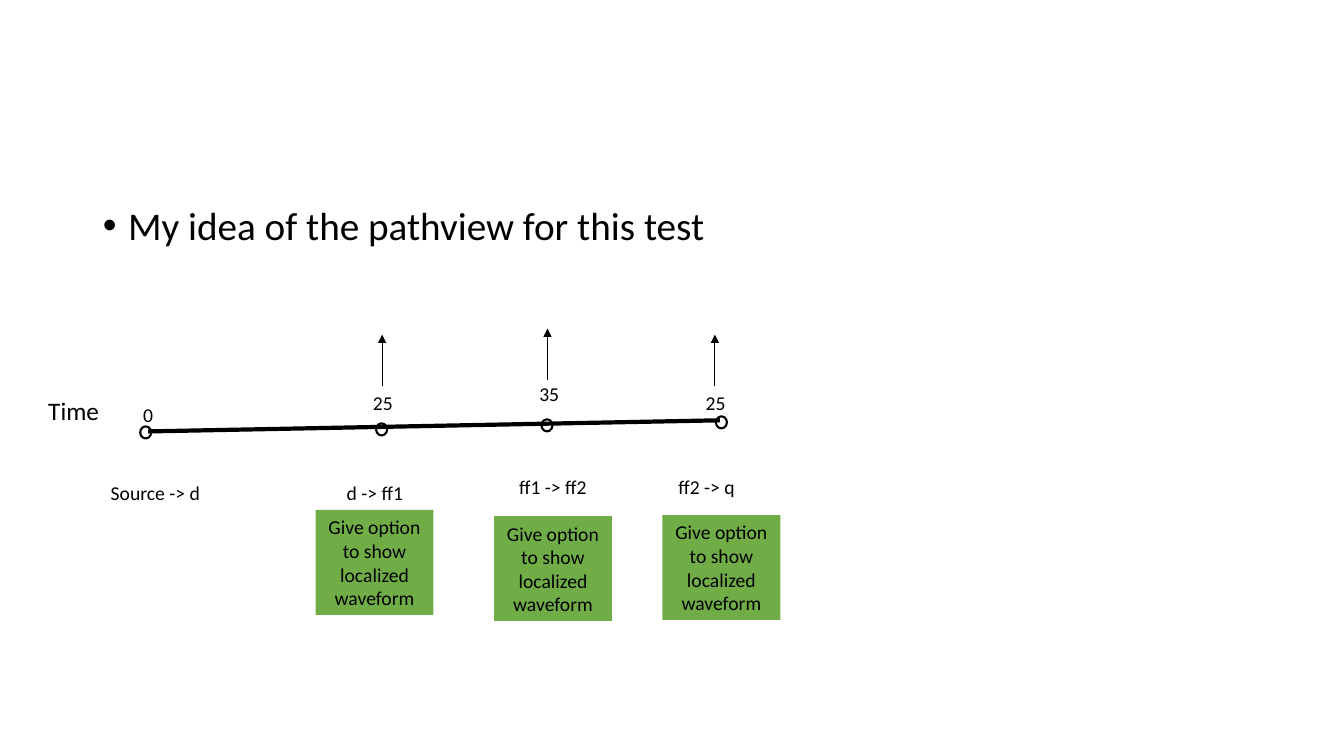
"""Build the pathview timeline slide."""
from pptx import Presentation
from pptx import util as u
from pptx.dml import color
from pptx.enum import shapes, text
from pptx.oxml import ns, xmlchemy

INK = {"text": "000000", "line": "000000", "box": "70AD47"}
rgb = color.RGBColor.from_string


def write(shape, words, size=14, align=text.PP_ALIGN.LEFT, wrap=True):
    frame = shape.text_frame
    frame.word_wrap = wrap
    frame.text = words
    para = frame.paragraphs[0]
    para.alignment = align
    font = para.runs[0].font
    font.size = u.Pt(size)
    font.name = "Calibri"
    font.color.rgb = rgb(INK["text"])
    return para


def draw(start, end, width):
    line = slide.shapes.add_connector(
        shapes.MSO_CONNECTOR.STRAIGHT, *map(u.Inches, start + end))
    line.line.color.rgb = rgb(INK["line"])
    line.line.width = u.Pt(width)
    line._element.spPr.append(xmlchemy.OxmlElement("a:effectLst"))
    return line


deck = Presentation()
deck.slide_width, deck.slide_height = u.Inches(13.33), u.Inches(7.5)
slide = deck.slides.add_slide(deck.slide_layouts[1])
title = slide.shapes.title
title._element.getparent().remove(title._element)

body = slide.placeholders[1]
body.left, body.top = u.Inches(0.92), u.Inches(2)
body.width, body.height = u.Inches(11.5), u.Inches(0.6)
para = write(body, "My idea of the pathview for this test", size=28)
para.line_spacing = 0.9
para.space_before = u.Pt(10)
props = para._p.get_or_add_pPr()
props.set("marL", str(u.Inches(0.25)))
props.set("indent", str(u.Inches(-0.25)))
mark = xmlchemy.OxmlElement("a:buChar")
mark.set("char", "•")
props.append(mark)

for x, y in [(3.79, 3.83), (5.43, 3.77), (7.09, 3.83)]:
    arrow = draw((x, y), (x, y - 0.51), 0.5)
    tip = xmlchemy.OxmlElement("a:tailEnd")
    tip.set("type", "triangle")
    arrow._element.spPr.find(ns.qn("a:ln")).append(tip)

draw((1.47, 4.28), (7.14, 4.17), 3)

for x, y in [(1.39, 4.23), (3.73, 4.2), (5.37, 4.16), (7.1, 4.13)]:
    dot = slide.shapes.add_shape(
        shapes.MSO_SHAPE.OVAL, *map(u.Inches, (x, y, 0.11, 0.12)))
    dot.shadow.inherit = False
    dot.fill.background()
    dot.line.color.rgb = rgb(INK["line"])
    dot.line.width = u.Pt(1.5)

labels = [
    ("Time", 0.38, 3.87, 0.78, 18),
    ("0", 1.32, 3.95, 0.48, 14),
    ("25", 3.6, 3.83, 0.48, 14),
    ("35", 5.25, 3.74, 0.48, 14),
    ("25", 6.9, 3.83, 0.48, 14),
    ("Source -> d", 1, 4.72, 1.17, 14),
    ("d -> ff1", 3.34, 4.72, 0.79, 14),
    ("ff1 -> ff2", 5.05, 4.66, 1.17, 14),
    ("ff2 -> q", 6.63, 4.66, 1.17, 14),
]
for words, x, y, width, size in labels:
    high = 0.4 if size == 18 else 0.34
    label = slide.shapes.add_textbox(*map(u.Inches, (x, y, width, high)))
    write(label, words, size=size)

for x, y in [(3.13, 5.06), (4.9, 5.12), (6.57, 5.11)]:
    box = slide.shapes.add_shape(
        shapes.MSO_SHAPE.RECTANGLE, *map(u.Inches, (x, y, 1.17, 1.04)))
    box.shadow.inherit = False
    box.fill.solid()
    box.fill.fore_color.rgb = rgb(INK["box"])
    box.line.fill.background()
    write(box, "Give option to show localized waveform",
          align=text.PP_ALIGN.CENTER)

deck.save("out.pptx")
